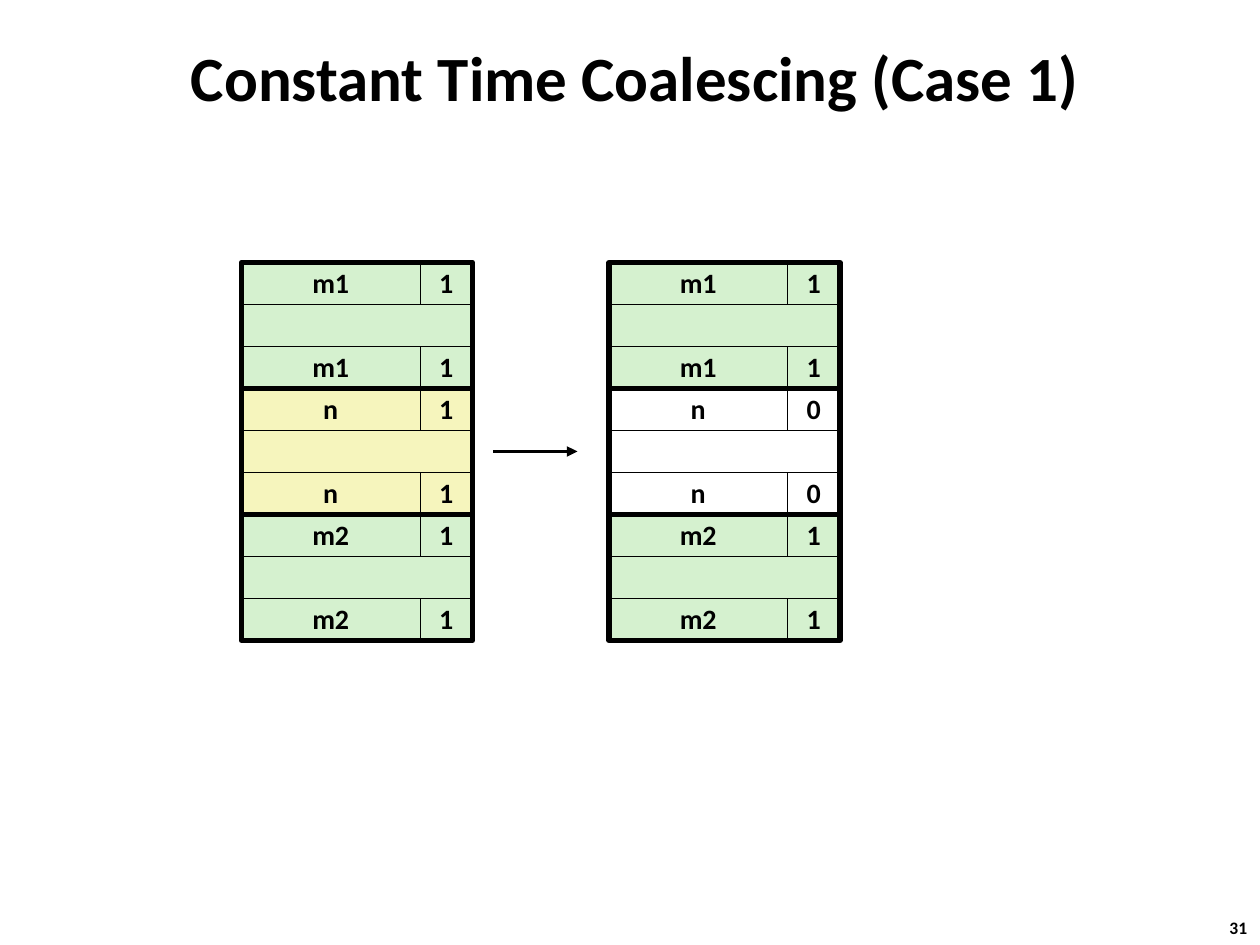
"""Build the slide on constant time coalescing, case 1."""
from typing import NamedTuple

from lxml import etree
from pptx import Presentation
from pptx import util as u
from pptx.dml.color import RGBColor
from pptx.enum import shapes, text
from pptx.oxml.ns import qn

BLACK = RGBColor(0x00, 0x00, 0x00)
WHITE = RGBColor(0xFF, 0xFF, 0xFF)
GREEN = RGBColor(0xD5, 0xF1, 0xCF)
YELLOW = RGBColor(0xF6, 0xF5, 0xBD)

GRID = u.Inches(1) // 12
TOP, ROW = 25, 4
SIZE_COLS, FLAG_COLS = 17, 5
BLOCK_COLS, BLOCK_ROWS = SIZE_COLS + FLAG_COLS, 3 * ROW
BEFORE_LEFT, AFTER_LEFT = 23, 58


class Block(NamedTuple):
    """A memory block with its size, allocated flag and colour."""
    size: str
    flag: str
    color: RGBColor


PREVIOUS = Block("m1", "1", GREEN)
NEXT = Block("m2", "1", GREEN)
BEFORE = (PREVIOUS, Block("n", "1", YELLOW), NEXT)
AFTER = (PREVIOUS, Block("n", "0", WHITE), NEXT)


def write(frame, words: str, *, size: float, align=text.PP_ALIGN.CENTER,
          anchor=text.MSO_ANCHOR.MIDDLE, wrap: bool = False, spacing: float = 1.0) -> None:
    """Fill a text frame with one formatted paragraph."""
    frame.auto_size = text.MSO_AUTO_SIZE.NONE
    frame.word_wrap = wrap
    frame.vertical_anchor = anchor
    paragraph = frame.paragraphs[0]
    paragraph.alignment = align
    paragraph.line_spacing = spacing
    run = paragraph.add_run()
    run.text = words
    run.font.name, run.font.size, run.font.bold = "Calibri", u.Pt(size), True
    run.font.color.rgb = BLACK


def draw_box(canvas, left: int, top: int, cols: int, rows: int, *,
             fill: RGBColor | None = None, line: float = 0.25, words: str = "") -> None:
    """Draw a bordered rectangle on the grid."""
    box = canvas.add_shape(shapes.MSO_SHAPE.RECTANGLE,
                           *(GRID * n for n in (left, top, cols, rows)))
    box.shadow.inherit = False
    if fill is None:
        box.fill.background()
    else:
        box.fill.solid()
        box.fill.fore_color.rgb = fill
    box.line.color.rgb = BLACK
    box.line.width = u.Pt(line)
    if words:
        write(box.text_frame, words, size=16, spacing=0.98)


def draw_block(canvas, block: Block, left: int, top: int) -> None:
    """Draw header, payload, footer and outline of a block."""
    header, payload, footer = (top + ROW * i for i in range(3))
    for tag_top in (header, footer):
        draw_box(canvas, left, tag_top, SIZE_COLS, ROW, fill=block.color, words=block.size)
        draw_box(canvas, left + SIZE_COLS, tag_top, FLAG_COLS, ROW,
                 fill=block.color, words=block.flag)
    draw_box(canvas, left, payload, BLOCK_COLS, ROW, fill=block.color)
    draw_box(canvas, left, top, BLOCK_COLS, BLOCK_ROWS, line=3)


def draw_heap(canvas, blocks: tuple[Block, ...], left: int) -> None:
    """Stack blocks from the top of the heap."""
    for i, block in enumerate(blocks):
        draw_block(canvas, block, left, TOP + BLOCK_ROWS * i)


def draw_arrow(canvas, start: int, end: int, level: int) -> None:
    """Draw a horizontal arrow on the grid."""
    arrow = canvas.add_connector(shapes.MSO_CONNECTOR.STRAIGHT, GRID * start, GRID * level,
                                 GRID * end, GRID * level)
    arrow.line.color.rgb = BLACK
    arrow.line.width = u.Pt(2)
    etree.SubElement(arrow.line._get_or_add_ln(), qn("a:tailEnd"), type="triangle")
    etree.SubElement(arrow._element.spPr, qn("a:effectLst"))


def main() -> None:
    """Compose and save the slide."""
    deck = Presentation()
    deck.slide_width, deck.slide_height = u.Inches(10), u.Inches(7.5)
    slide = deck.slides.add_slide(deck.slide_layouts[5])

    title = slide.shapes.title
    title.left, title.top = u.Inches(0.5), u.Inches(0.29)
    title.width, title.height = u.Inches(9.08), u.Inches(0.63)
    write(title.text_frame, "Constant Time Coalescing (Case 1)", size=36, wrap=True)

    draw_heap(slide.shapes, BEFORE, BEFORE_LEFT)
    result = slide.shapes.add_group_shape().shapes
    draw_heap(result, AFTER, AFTER_LEFT)
    draw_arrow(result, 47, 55, 43)

    page = slide.shapes.add_textbox(u.Inches(9.66), u.Inches(7.23),
                                    u.Inches(0.37), u.Inches(0.27))
    write(page.text_frame, "31", size=10, align=text.PP_ALIGN.LEFT,
          anchor=text.MSO_ANCHOR.TOP)
    deck.save("out.pptx")


if __name__ == "__main__":
    main()
